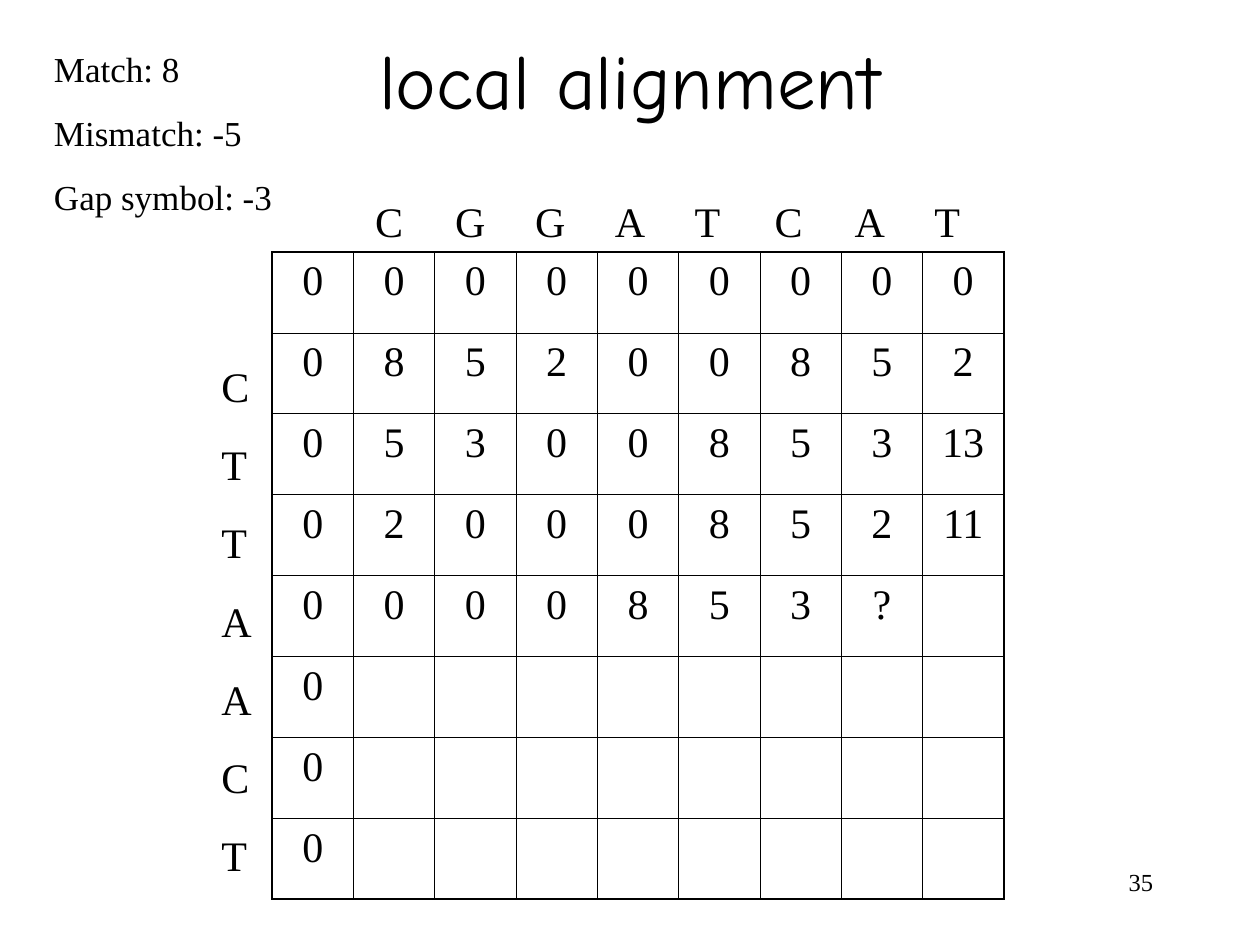
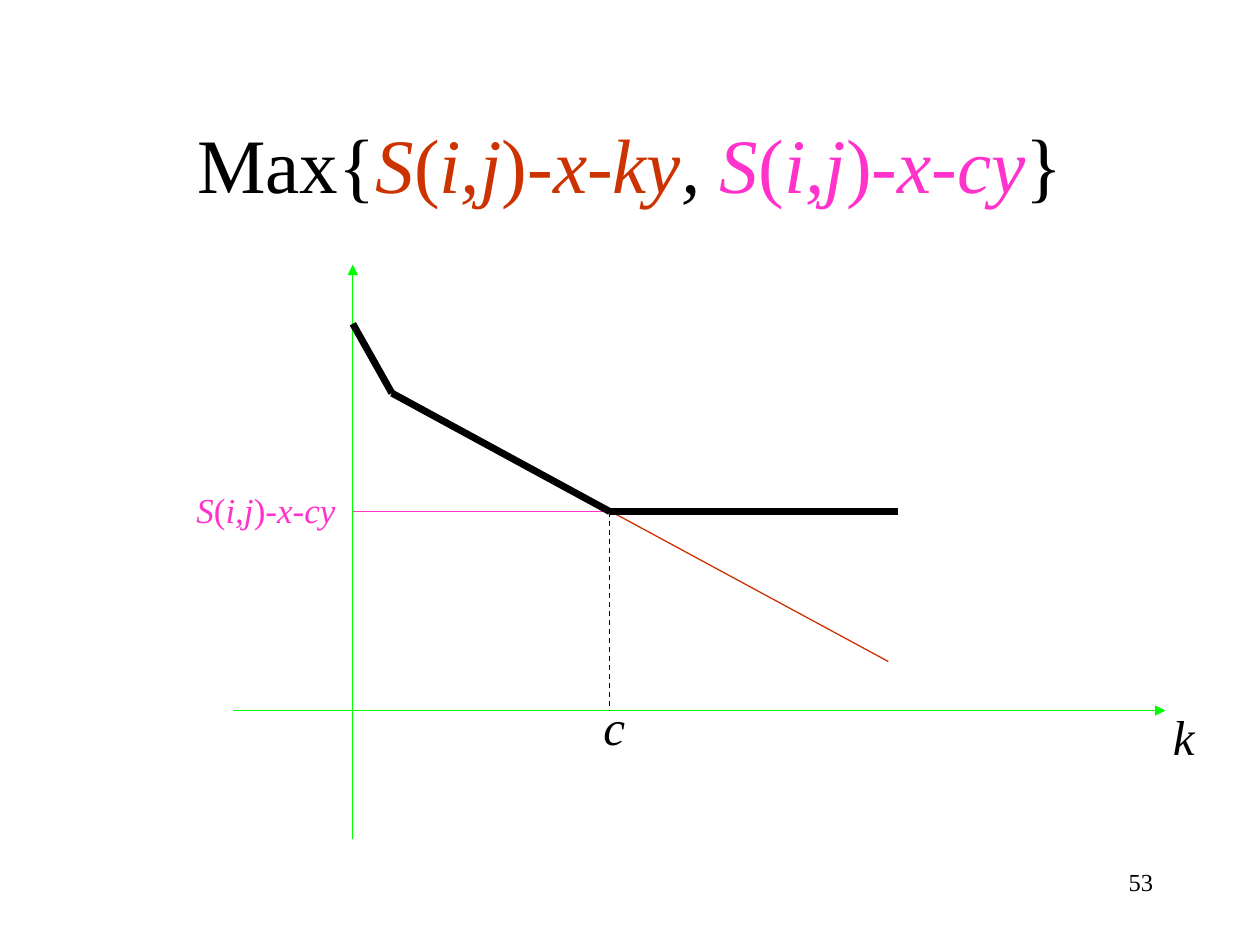
from itertools import pairwise

from lxml import etree
from pptx import Presentation
from pptx import util as u
from pptx.dml.color import RGBColor
from pptx.enum import dml, shapes, text
from pptx.oxml.ns import qn

BLACK = RGBColor(0x00, 0x00, 0x00)
GREEN = RGBColor(0x00, 0xFF, 0x00)
RUST = RGBColor(0xCC, 0x33, 0x00)
PINK = RGBColor(0xFF, 0x33, 0xCC)
SERIF, HAND = "Times New Roman", "Comic Neue"
LEFT, CENTER, RIGHT = text.PP_ALIGN.LEFT, text.PP_ALIGN.CENTER, text.PP_ALIGN.RIGHT

# The slide is a grid of 100 columns by 75 rows of square units.
WIDTH, HEIGHT = u.Inches(10), u.Inches(7.5)
UNIT = WIDTH // 100
LINE_HEIGHT = 1.2  # line pitch as a multiple of the font size

COLUMN_LETTERS, ROW_LETTERS = "CGGATCAT", "CTTAACT"
LETTER_STEP = 6.34
SCORES = [
    "0 0 0 0 0 0 0 0 0",
    "0 8 5 2 0 0 8 5 2",
    "0 5 3 0 0 8 5 3 13",
    "0 2 0 0 0 8 5 2 11",
    "0 0 0 0 8 5 3 ?",
    "0",
    "0",
    "0",
]


def grid(*lengths):
    return [round(n * UNIT) for n in lengths]


def style(p, size, font=SERIF, align=LEFT):
    p.alignment = align
    p.font.name, p.font.size = font, u.Pt(size)
    p.font.color.rgb = BLACK


def add_runs(p, runs):
    """Append (text, colour, italic) runs to a paragraph."""
    for words, color, italic in runs:
        r = p.add_run()
        r.text = words
        r.font.color.rgb, r.font.italic = color, italic


def score(factor, color):
    """Runs of the formula S(i,j)-x-(factor)y."""
    parts = ("S", True), ("(", False), ("i,j", True), (")", False), (f"-x-{factor}y", True)
    return [(words, color, italic) for words, italic in parts]


def plain(words):
    return [(words, BLACK, False)]


def add_slide(prs, title_top, title, font, number):
    slide = prs.slides.add_slide(prs.slide_layouts.get_by_name("Title Only"))
    sp = slide.shapes.title
    sp.left, sp.top, sp.width, sp.height = grid(7.5, title_top, 85, 12.5)
    tf = sp.text_frame
    tf.auto_size = text.MSO_AUTO_SIZE.NONE
    tf.vertical_anchor = text.MSO_ANCHOR.MIDDLE
    style(tf.paragraphs[0], 44, font, CENTER)
    add_runs(tf.paragraphs[0], title)
    add_label(slide, (71.7, 68.3, 20.8, 5), [plain(number)], 14, align=RIGHT)
    return slide


def add_label(slide, box, lines, size, before=0, pitch=None, align=LEFT):
    tf = slide.shapes.add_textbox(*grid(*box)).text_frame
    tf.word_wrap = True
    for i, runs in enumerate(lines):
        p = tf.add_paragraph() if i else tf.paragraphs[0]
        style(p, size, align=align)
        p.space_before = u.Pt(before)
        p.line_spacing = u.Pt(pitch or size * LINE_HEIGHT)
        add_runs(p, runs)
    return tf


def set_tabs(p, step, count):
    tabs = etree.Element(qn("a:tabLst"))
    for i in range(1, count + 1):
        etree.SubElement(tabs, qn("a:tab"), pos=str(round(i * step * UNIT)), algn="l")
    p._p.get_or_add_pPr().find(qn("a:defRPr")).addprevious(tabs)


def add_border(cell, side, width):
    ln = etree.SubElement(cell._tc.get_or_add_tcPr(), qn(f"a:ln{side}"), w=str(u.Pt(width)))
    fill = etree.SubElement(ln, qn("a:solidFill"))
    etree.SubElement(fill, qn("a:srgbClr"), val=str(BLACK))


def add_score_table(slide, box, rows, columns):
    table = slide.shapes.add_table(rows, columns, *grid(*box)).table
    table.first_row = table.horz_banding = False
    for i in range(rows):
        values = SCORES[i].split()
        for j in range(columns):
            cell = table.cell(i, j)
            cell.text = values[j] if j < len(values) else ""
            p = cell.text_frame.paragraphs[0]
            style(p, 24, align=CENTER)
            p.space_before = u.Pt(6)
            outer = {"L": j == 0, "R": j == columns - 1, "T": i == 0, "B": i == rows - 1}
            for side, is_outer in outer.items():
                add_border(cell, side, 1.08 if is_outer else 0.45)
            cell.fill.background()


def add_path(slide, points, color, width=0.75, arrow=False, dash=None):
    """Draw straight lines from each point to the next."""
    for start, end in pairwise(points):
        line = slide.shapes.add_connector(
            shapes.MSO_CONNECTOR.STRAIGHT, *grid(*start, *end))
        line.line.color.rgb, line.line.width = color, u.Pt(width)
        if dash:
            line.line.dash_style = dash
        if arrow:
            etree.SubElement(line.line._get_or_add_ln(), qn("a:tailEnd"), type="triangle")
        etree.SubElement(line._element.spPr, qn("a:effectLst"))


def build_alignment(prs):
    slide = add_slide(prs, 0, plain("local alignment"), HAND, "35")
    add_score_table(slide, (21.6, 20, 58.1, 51.4), len(ROW_LETTERS) + 1, len(COLUMN_LETTERS) + 1)
    header = add_label(slide, (28.8, 15, 62.7, 5), [plain("\t".join(COLUMN_LETTERS))], 24)
    set_tabs(header.paragraphs[0], LETTER_STEP, len(COLUMN_LETTERS) - 1)
    add_label(slide, (16.6, 25.9, 5.6, 44.4), map(plain, ROW_LETTERS), 24, pitch=44.7)
    rules = "Match: 8", "Mismatch: -5", "Gap symbol: -3"
    add_label(slide, (3.3, 3.3, 20.8, 14.5), map(plain, rules), 20, before=12.5)


def build_gap_cost(prs):
    title = [*plain("Max{"), *score("k", RUST), (", ", BLACK, True),
             *score("c", PINK), *plain("}")]
    slide = add_slide(prs, 6.7, title, SERIF, "53")

    axis_x, axis_y = 28, 56.4
    start, bend = (axis_x, 25.7), (31.1, 31.2)
    cap, cap_end = (48.4, 40.6), (71.3, 40.6)
    add_path(slide, [(18.5, axis_y), (92.5, axis_y)], GREEN, arrow=True)
    add_path(slide, [(axis_x, 66.6), (axis_x, 21)], GREEN, arrow=True)
    add_path(slide, [start, bend, (70.5, 52.5)], RUST)
    add_path(slide, [(axis_x, cap[1]), cap_end], PINK)
    add_path(slide, [cap, (cap[0], axis_y)], BLACK, dash=dml.MSO_LINE.DASH)
    add_path(slide, [start, bend, cap, cap_end], BLACK, width=4)

    add_label(slide, (92.1, 55.6, 7.9, 5.7), [[("k", BLACK, True)]], 28)
    add_label(slide, (46.9, 54.8, 6.3, 5.7), [[("c", BLACK, True)]], 28)
    add_label(slide, (14.6, 38.3, 14.2, 4.4), [score("c", PINK)], 20)


def main():
    prs = Presentation()
    prs.slide_width, prs.slide_height = WIDTH, HEIGHT
    build_alignment(prs)
    build_gap_cost(prs)
    prs.save("out.pptx")


if __name__ == "__main__":
    main()
